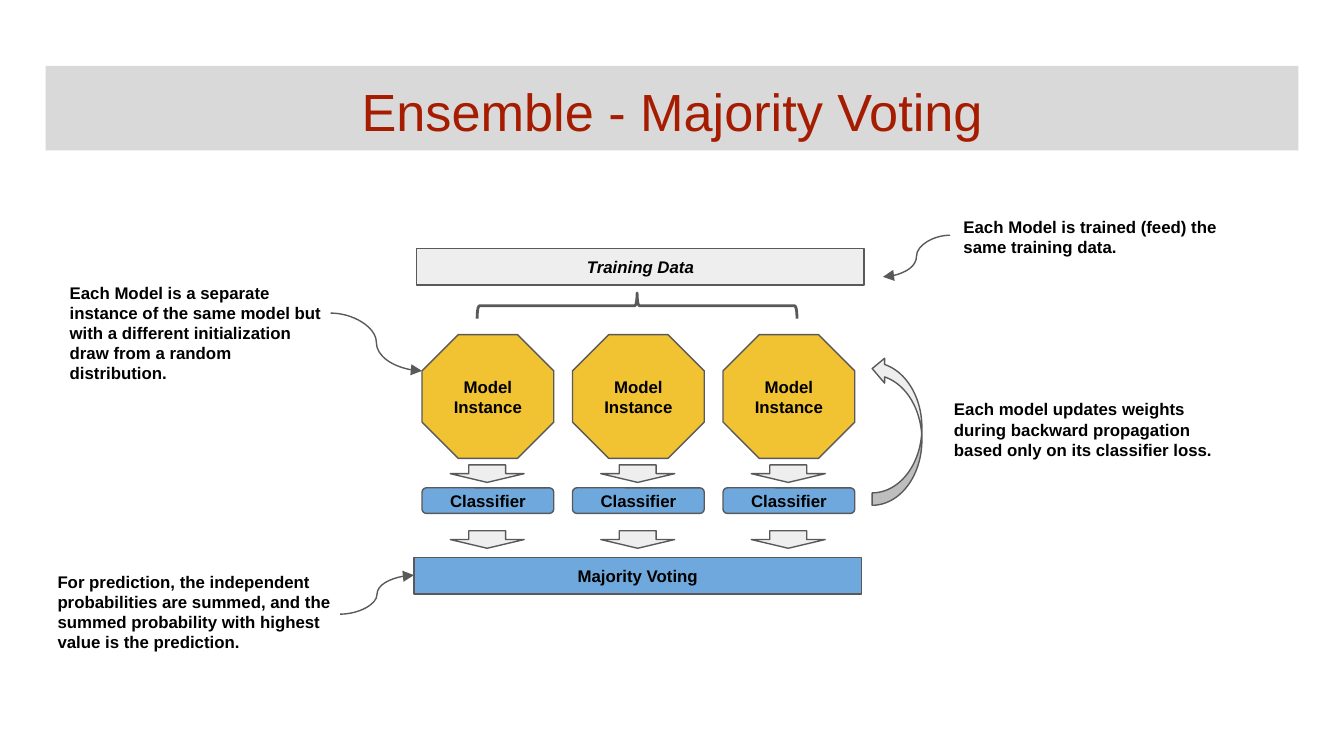
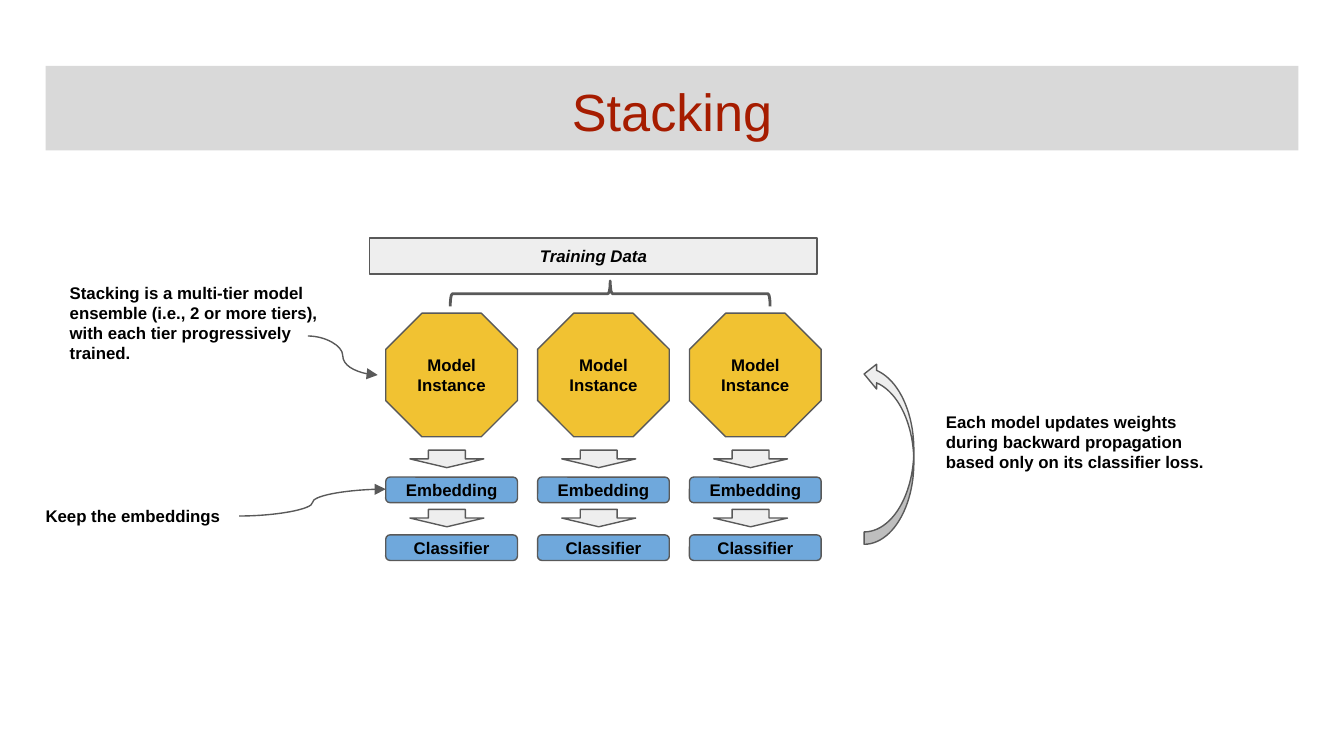
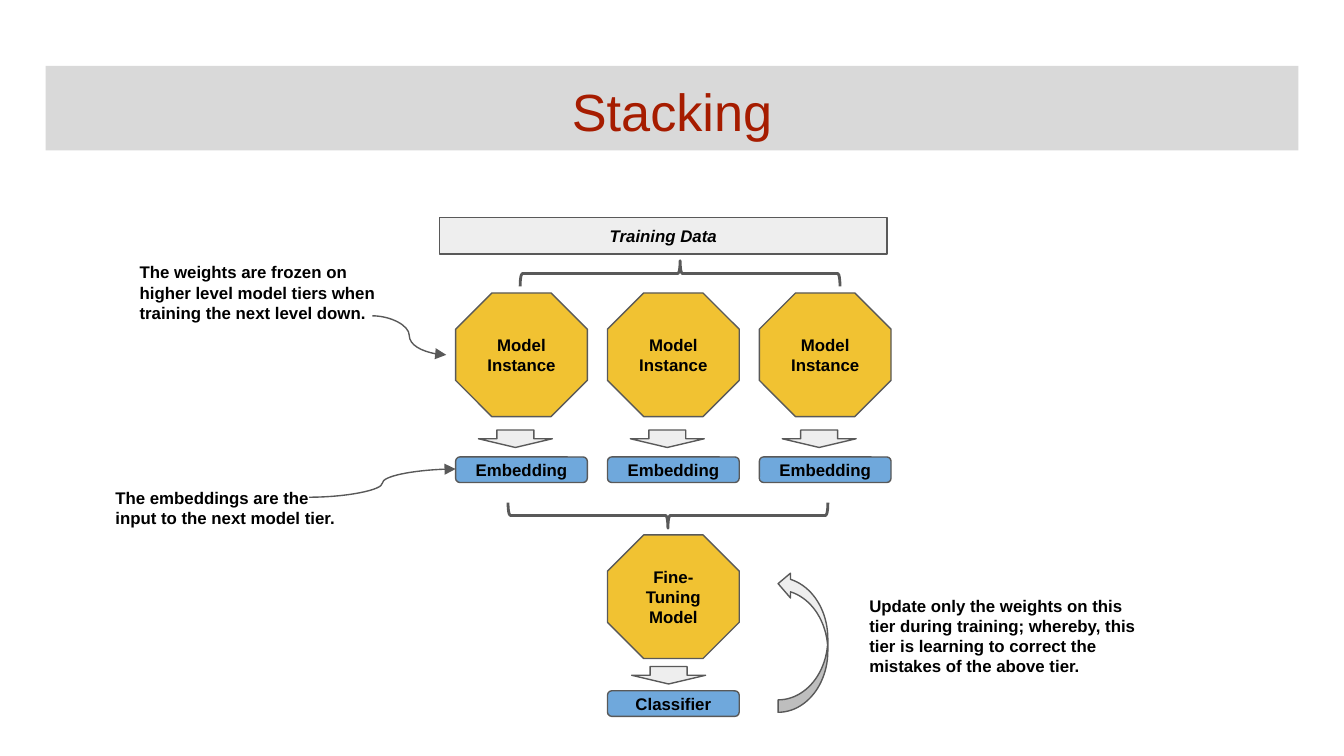
from dataclasses import dataclass

from lxml import etree
from pptx import Presentation
from pptx.dml.color import RGBColor
from pptx.enum.shapes import MSO_CONNECTOR, MSO_SHAPE
from pptx.enum.text import MSO_ANCHOR, PP_ALIGN
from pptx.oxml.ns import qn
from pptx.shapes.autoshape import Shape
from pptx.slide import Slide
from pptx.text.text import TextFrame
from pptx.util import Inches, Pt

FONT = "Arial"
BAND, TITLE_RED = "D9D9D9", "A61C00"
YELLOW, BLUE, PALE = "F1C232", "6FA8DC", "EEEEEE"
OUTLINE, BLACK = "595959", "000000"
INSET = 0.1
BRACE_WIDTH, BRACE_HEIGHT = 2.38, 0.19


@dataclass(frozen=True)
class Block:
    """The look and size of one kind of diagram block."""
    preset: MSO_SHAPE
    width: float
    height: float
    fill: str
    italic: bool = False


MODEL = Block(MSO_SHAPE.OCTAGON, 0.98, 0.92, YELLOW)
STEP = Block(MSO_SHAPE.ROUNDED_RECTANGLE, 0.98, 0.19, BLUE)
DOWN_ARROW = Block(MSO_SHAPE.DOWN_ARROW, 0.55, 0.13, PALE)
TRAINING_DATA = Block(MSO_SHAPE.RECTANGLE, 3.33, 0.27, PALE, italic=True)
VOTING = Block(MSO_SHAPE.RECTANGLE, 3.33, 0.27, BLUE)


@dataclass(frozen=True)
class Row:
    """Three equal blocks side by side, with one label each."""
    block: Block
    left: float
    top: float
    labels: tuple[str, str, str] = ("", "", "")


@dataclass(frozen=True)
class Note:
    left: float
    top: float
    width: float
    height: float
    text: str


@dataclass(frozen=True)
class Pointer:
    """A curved arrow from a note to the part it explains."""
    start: tuple[float, float]
    end: tuple[float, float]


def color(value: str) -> RGBColor:
    return RGBColor.from_string(value)


def write(frame: TextFrame, text: str, size: float = 9, ink: str = BLACK,
          bold: bool = True, italic: bool = False,
          align: PP_ALIGN = PP_ALIGN.CENTER,
          anchor: MSO_ANCHOR = MSO_ANCHOR.MIDDLE) -> None:
    frame.word_wrap = True
    frame.vertical_anchor = anchor
    frame.margin_left = frame.margin_right = Inches(INSET)
    frame.margin_top = frame.margin_bottom = Inches(INSET)
    frame.text = text
    for paragraph in frame.paragraphs:
        paragraph.alignment = align
        font = paragraph.font
        font.name, font.size = FONT, Pt(size)
        font.bold, font.italic = bold, italic
        font.color.rgb = color(ink)


def add_preset(slide: Slide, preset: MSO_SHAPE, left: float, top: float,
               width: float, height: float, fill: str | None,
               line_width: float = 0.75) -> Shape:
    shape = slide.shapes.add_shape(preset, Inches(left), Inches(top),
                                   Inches(width), Inches(height))
    shape.shadow.inherit = False
    if fill:
        shape.fill.solid()
        shape.fill.fore_color.rgb = color(fill)
    else:
        shape.fill.background()
    if line_width:
        shape.line.color.rgb = color(OUTLINE)
        shape.line.width = Pt(line_width)
    else:
        shape.line.fill.background()
    return shape


def add_block(slide: Slide, block: Block, left: float, top: float,
              label: str = "") -> None:
    shape = add_preset(slide, block.preset, left, top, block.width,
                       block.height, block.fill)
    if label:
        write(shape.text_frame, label, italic=block.italic)


def add_rows(slide: Slide, pitch: float, rows: list[Row]) -> None:
    for row in rows:
        for column, label in enumerate(row.labels):
            add_block(slide, row.block, row.left + column * pitch, row.top, label)


def add_brace(slide: Slide, left: float, top: float, rotation: int = 90) -> None:
    """Place a horizontal brace by its visible top left corner."""
    shift = (BRACE_WIDTH - BRACE_HEIGHT) / 2
    brace = add_preset(slide, MSO_SHAPE.LEFT_BRACE, left + shift, top - shift,
                       BRACE_HEIGHT, BRACE_WIDTH, None, 1.5)
    brace.rotation = rotation


def add_feedback_arrow(slide: Slide, left: float, top: float, height: float) -> None:
    """Curved arrow that leads from the classifier back up to the model."""
    arrow = add_preset(slide, MSO_SHAPE.CURVED_LEFT_ARROW, left, top, 0.37,
                       height, PALE)
    arrow.rotation = 180
    arrow._element.spPr.find(qn("a:xfrm")).set("flipH", "1")


def add_notes(slide: Slide, notes: list[Note]) -> None:
    for note in notes:
        box = slide.shapes.add_textbox(Inches(note.left), Inches(note.top),
                                       Inches(note.width), Inches(note.height))
        write(box.text_frame, note.text, align=PP_ALIGN.LEFT,
              anchor=MSO_ANCHOR.TOP)


def add_pointers(slide: Slide, pointers: list[Pointer]) -> None:
    for pointer in pointers:
        curve = slide.shapes.add_connector(
            MSO_CONNECTOR.CURVE,
            *(Inches(value) for value in pointer.start + pointer.end))
        curve.line.color.rgb = color(OUTLINE)
        curve.line.width = Pt(0.75)
        etree.SubElement(curve.line._get_or_add_ln(), qn("a:tailEnd"),
                         type="triangle")
        etree.SubElement(curve._element.spPr, qn("a:effectLst"))


def add_titled_slide(deck: Presentation, title: str) -> Slide:
    slide = deck.slides.add_slide(deck.slide_layouts[6])
    band = add_preset(slide, MSO_SHAPE.RECTANGLE, 0.34, 0.49, 9.32, 0.63,
                      BAND, line_width=0)
    write(band.text_frame, title, 28, TITLE_RED, bold=False,
          anchor=MSO_ANCHOR.TOP)
    return slide


INSTANCES = ("Model Instance",) * 3
STACKED_INSTANCES = ("Model Instance", "Model\nInstance", "Model Instance")
EMBEDDINGS = ("Embedding",) * 3
CLASSIFIERS = ("Classifier",) * 3
UPDATE_NOTE = ("Each model updates weights during backward propagation "
               "based only on its classifier loss.")


def build_majority_voting(deck: Presentation) -> None:
    slide = add_titled_slide(deck, "Ensemble - Majority Voting")
    add_block(slide, TRAINING_DATA, 3.1, 1.85, "Training Data")
    add_brace(slide, 3.55, 2.18)
    add_rows(slide, 1.12, [
        Row(MODEL, 3.14, 2.49, INSTANCES),
        Row(DOWN_ARROW, 3.35, 3.46),
        Row(STEP, 3.14, 3.63, CLASSIFIERS),
        Row(DOWN_ARROW, 3.35, 3.95),
    ])
    add_block(slide, VOTING, 3.08, 4.15, "Majority Voting")
    add_feedback_arrow(slide, 6.49, 2.65, 1.11)
    add_notes(slide, [
        Note(0.42, 2, 2.11, 1.03,
             "Each Model is a separate instance of the same model but with a "
             "different initialization draw from a random distribution."),
        Note(7.07, 1.51, 2.11, 0.55,
             "Each Model is trained (feed) the same training data."),
        Note(7, 2.87, 2.3, 0.55, UPDATE_NOTE),
        Note(0.33, 4.15, 2.3, 0.55,
             "For prediction, the independent probabilities are summed, and the "
             "summed probability with highest value is the prediction."),
    ])
    add_pointers(slide, [
        Pointer((2.46, 2.33), (3.14, 2.76)),
        Pointer((7.07, 1.75), (6.57, 2.06)),
        Pointer((2.53, 4.57), (3.08, 4.28)),
    ])


def build_first_tier(deck: Presentation) -> None:
    slide = add_titled_slide(deck, "Stacking")
    add_block(slide, TRAINING_DATA, 2.75, 1.77, "Training Data")
    add_brace(slide, 3.35, 2.09)
    add_rows(slide, 1.13, [
        Row(MODEL, 2.87, 2.33, STACKED_INSTANCES),
        Row(DOWN_ARROW, 3.05, 3.35),
        Row(STEP, 2.87, 3.55, EMBEDDINGS),
        Row(DOWN_ARROW, 3.05, 3.79),
        Row(STEP, 2.87, 3.98, CLASSIFIERS),
    ])
    add_feedback_arrow(slide, 6.43, 2.69, 1.36)
    add_notes(slide, [
        Note(0.42, 2, 2.11, 0.77,
             "Stacking is a multi-tier model ensemble (i.e., 2 or more tiers), "
             "with each tier progressively trained."),
        Note(6.94, 2.96, 2.27, 0.68, UPDATE_NOTE),
        Note(0.24, 3.69, 1.89, 0.37, "Keep the embeddings"),
    ])
    add_pointers(slide, [
        Pointer((1.78, 3.84), (2.87, 3.64)),
        Pointer((2.29, 2.5), (2.81, 2.79)),
    ])


def build_next_tier(deck: Presentation) -> None:
    slide = add_titled_slide(deck, "Stacking")
    add_block(slide, TRAINING_DATA, 3.27, 1.62, "Training Data")
    add_brace(slide, 3.87, 1.94)
    add_rows(slide, 1.13, [
        Row(MODEL, 3.39, 2.18, STACKED_INSTANCES),
        Row(DOWN_ARROW, 3.56, 3.2),
        Row(STEP, 3.39, 3.4, EMBEDDINGS),
    ])
    add_brace(slide, 3.78, 3.74, rotation=270)
    add_block(slide, MODEL, 4.52, 3.98, "Fine-\nTuning Model")
    add_block(slide, DOWN_ARROW, 4.7, 4.96)
    add_block(slide, STEP, 4.52, 5.14, "Classifier")
    add_feedback_arrow(slide, 5.79, 4.25, 1.05)
    add_notes(slide, [
        Note(0.94, 1.85, 2.11, 0.77,
             "The weights are frozen on higher level model tiers when training "
             "the next level down."),
        Note(6.37, 4.33, 2.27, 0.68,
             "Update only the weights on this tier during training; whereby, this "
             "tier is learning to correct the mistakes of the above tier."),
        Note(0.76, 3.53, 1.89, 0.37,
             "The embeddings are the\ninput to the next model tier."),
    ])
    add_pointers(slide, [
        Pointer((2.3, 3.7), (3.39, 3.49)),
        Pointer((2.77, 2.35), (3.32, 2.64)),
    ])


def main() -> None:
    deck = Presentation()
    deck.slide_width = Inches(10)
    deck.slide_height = deck.slide_width * 9 // 16
    build_majority_voting(deck)
    build_first_tier(deck)
    build_next_tier(deck)
    deck.save("out.pptx")


if __name__ == "__main__":
    main()
